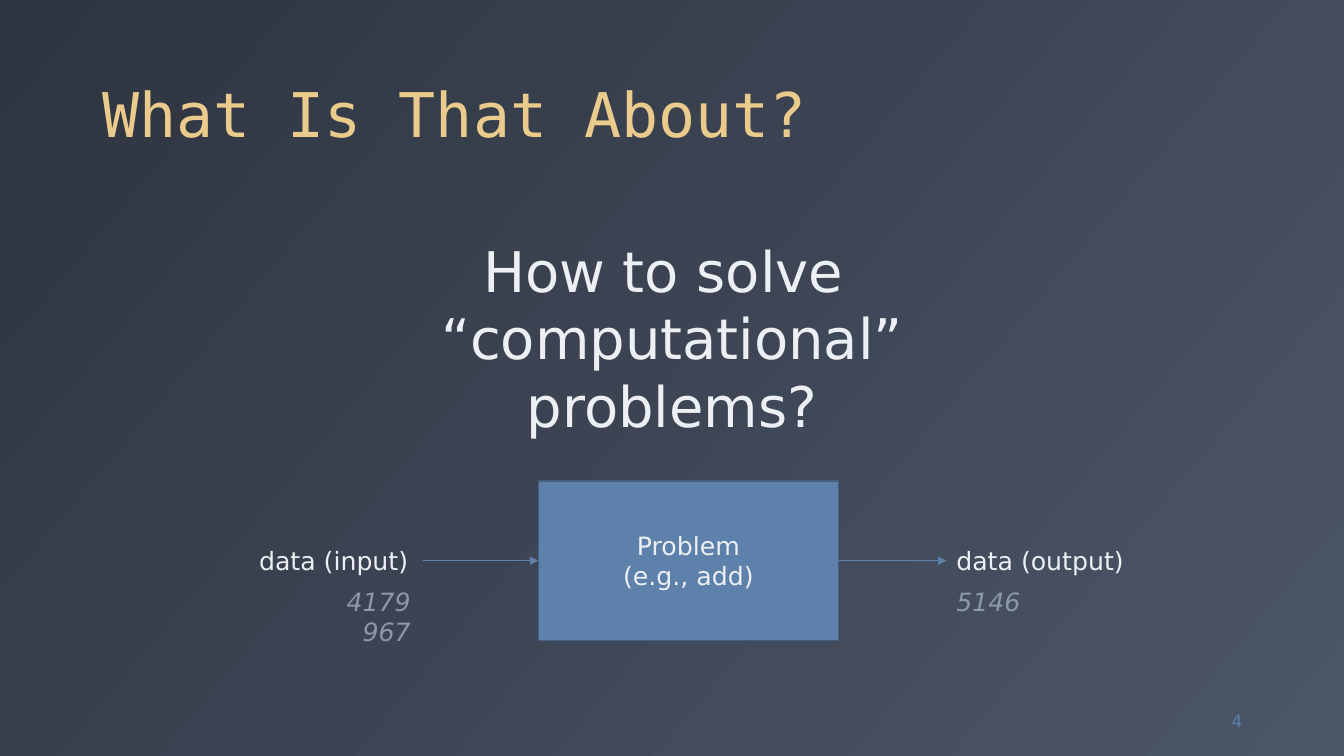
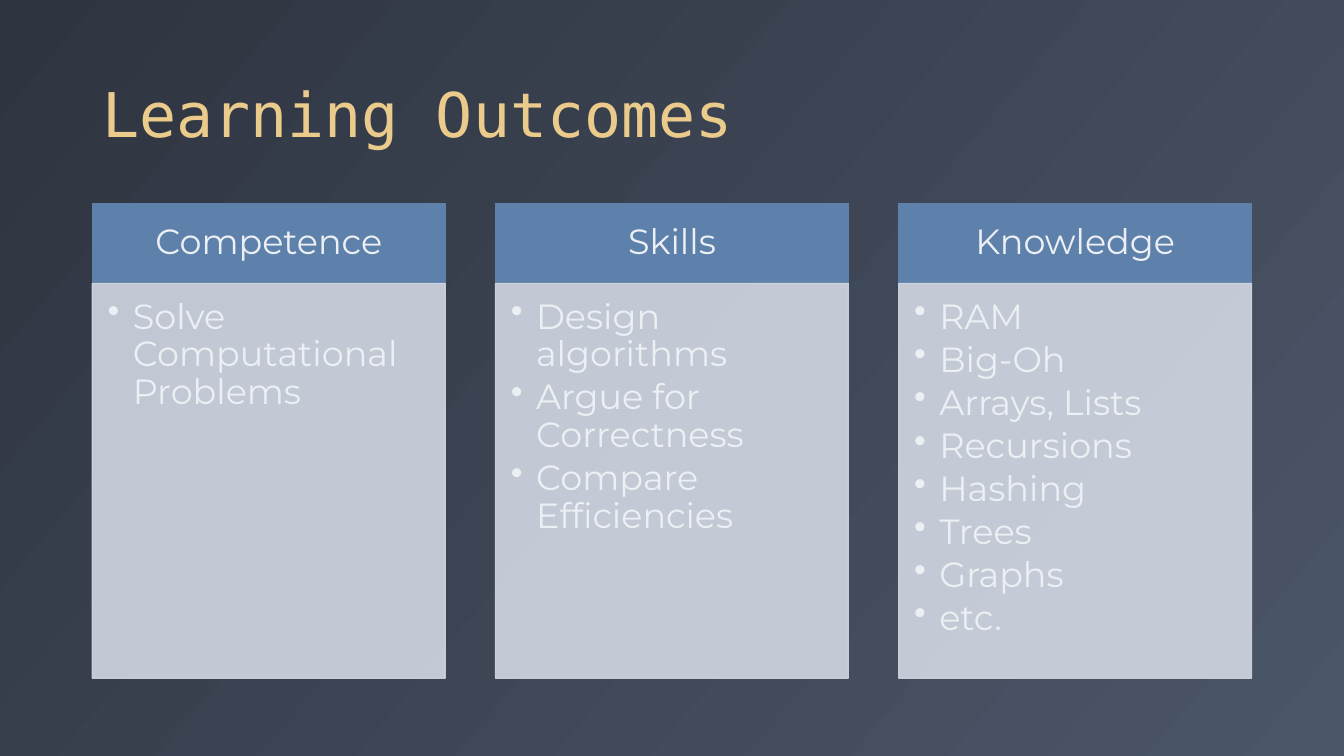
from lxml.etree import SubElement
from pptx import Presentation
from pptx.dml.color import RGBColor
from pptx.enum.shapes import MSO_CONNECTOR, MSO_SHAPE
from pptx.enum.text import MSO_ANCHOR, PP_ALIGN
from pptx.oxml.ns import qn
from pptx.util import Pt

NIGHT = RGBColor(0x2E, 0x34, 0x40)
SLATE = RGBColor(0x4C, 0x56, 0x69)
GOLD = RGBColor(0xEB, 0xCB, 0x8B)
BLUE = RGBColor(0x5E, 0x81, 0xAC)
EDGE = RGBColor(0x46, 0x5F, 0x7F)
SNOW = RGBColor(0xEC, 0xEF, 0xF3)
GREY = RGBColor(0x8C, 0x97, 0xAC)
MIST = RGBColor(0xD2, 0xD8, 0xE3)

SANS = "DejaVu Sans"
MONO = "DejaVu Sans Mono"
CARD = "Montserrat"

LEFT, WIDE = 66, 828
INSETS = (7.2, 3.6, 7.2, 3.6)


class Deck:
    def __init__(self):
        self.show = Presentation()
        self.show.slide_width = Pt(960)
        self.show.slide_height = Pt(540)
        self.slide = None

    def start(self, title):
        """Add a slide with the shared background and title."""
        self.slide = self.show.slides.add_slide(self.show.slide_layouts[6])
        fill = self.slide.background.fill
        fill.gradient()
        fill.gradient_angle = 320
        for stop, color in zip(fill.gradient_stops, (NIGHT, SLATE)):
            stop.color.rgb = color
        self.text((LEFT, 13, WIDE, 98), [title], 44, GOLD, MONO,
                  anchor=MSO_ANCHOR.BOTTOM, wrap=True, lead=0.9)

    def label(self, shape, lines, size, color=SNOW, face=SANS,
              align=PP_ALIGN.LEFT, anchor=MSO_ANCHOR.TOP, insets=INSETS,
              wrap=False, lead=None, after=None, italic=None, bullet=False):
        """Fill a shape with styled paragraphs."""
        frame = shape.text_frame
        frame.word_wrap = wrap
        frame.vertical_anchor = anchor
        (frame.margin_left, frame.margin_top,
         frame.margin_right, frame.margin_bottom) = map(Pt, insets)
        for num, line in enumerate(lines):
            para = frame.add_paragraph() if num else frame.paragraphs[0]
            para.text = line
            para.alignment = align
            if lead:
                para.line_spacing = lead
            if after:
                para.space_after = Pt(after)
            if bullet:
                self.mark(para)
            font = para.font
            font.name, font.size, font.italic = face, Pt(size), italic
            font.color.rgb = color

    def mark(self, para):
        """Give a paragraph a hanging bullet."""
        props = para._p.get_or_add_pPr()
        props.set("marL", str(Pt(18)))
        props.set("indent", str(Pt(-18)))
        SubElement(props, qn("a:buChar")).set("char", "•")

    def text(self, area, lines, size, *style, **more):
        box = self.slide.shapes.add_textbox(*map(Pt, area))
        self.label(box, lines, size, *style, **more)

    def block(self, area, fill, edge, lines, size, alpha=None, **style):
        box = self.slide.shapes.add_shape(MSO_SHAPE.RECTANGLE, *map(Pt, area))
        box.shadow.inherit = False
        box.fill.solid()
        box.fill.fore_color.rgb = fill
        box.line.color.rgb = edge
        box.line.width = Pt(1)
        if alpha:
            for tone in box._element.spPr.iter(qn("a:srgbClr")):
                SubElement(tone, qn("a:alpha")).set("val", str(alpha * 1000))
        self.label(box, lines, size, wrap=True, **style)

    def arrow(self, start, end, level):
        line = self.slide.shapes.add_connector(
            MSO_CONNECTOR.STRAIGHT, Pt(start), Pt(level), Pt(end), Pt(level))
        line.line.color.rgb = BLUE
        line.line.width = Pt(0.5)
        props = line._element.spPr
        SubElement(props.find(qn("a:ln")), qn("a:tailEnd")).set("type", "triangle")
        SubElement(props, qn("a:effectLst"))

    def card(self, left, head, items):
        top, width, tall = 145.5, 252, 57
        self.block((left, top, width, tall), BLUE, BLUE, [head], 25,
                   face=CARD, align=PP_ALIGN.CENTER, anchor=MSO_ANCHOR.MIDDLE,
                   insets=(14, 8, 14, 8), lead=0.9)
        self.block((left, top + tall, width, 282), MIST, MIST, items, 25,
                   alpha=90, face=CARD, insets=(11, 11, 14, 16),
                   lead=0.9, after=3.75, bullet=True)


def about(deck):
    deck.start("What Is That About?")
    deck.text((834.5, 500.5, 60, 29), ["4"], 12, BLUE,
              align=PP_ALIGN.RIGHT, anchor=MSO_ANCHOR.MIDDLE, wrap=True)
    deck.text((198, 165.5, 564, 104),
              ["How to solve ", "“computational” problems?"], 40,
              align=PP_ALIGN.CENTER, insets=(18, 3.6, 18, 3.6), wrap=True)
    deck.block((384.5, 343.5, 214.5, 114), BLUE, EDGE,
               ["Problem", "(e.g., add)"], 18,
               align=PP_ALIGN.CENTER, anchor=MSO_ANCHOR.MIDDLE)
    deck.text((178, 386, 124.5, 29), ["data (input)"], 18)
    deck.text((676, 386, 137.5, 29), ["data (output)"], 18)
    deck.arrow(302.5, 384.5, 400.5)
    deck.arrow(599, 676, 400.5)
    deck.text((239.5, 415, 61, 51), ["4179", "967"], 18, GREY,
              align=PP_ALIGN.RIGHT, italic=True)
    deck.text((676, 415, 61, 29), ["5146"], 18, GREY, italic=True)


def goals(deck):
    deck.start("Learning Outcomes")
    cards = {
        "Competence": ["Solve Computational Problems"],
        "Skills": ["Design algorithms", "Argue for Correctness",
                   "Compare Efficiencies"],
        "Knowledge": ["RAM", "Big-Oh", "Arrays, Lists", "Recursions",
                      "Hashing", "Trees", "Graphs", "etc."],
    }
    for num, (head, items) in enumerate(cards.items()):
        deck.card(LEFT + 288 * num, head, items)


def main():
    deck = Deck()
    about(deck)
    goals(deck)
    deck.show.save("out.pptx")


if __name__ == "__main__":
    main()
